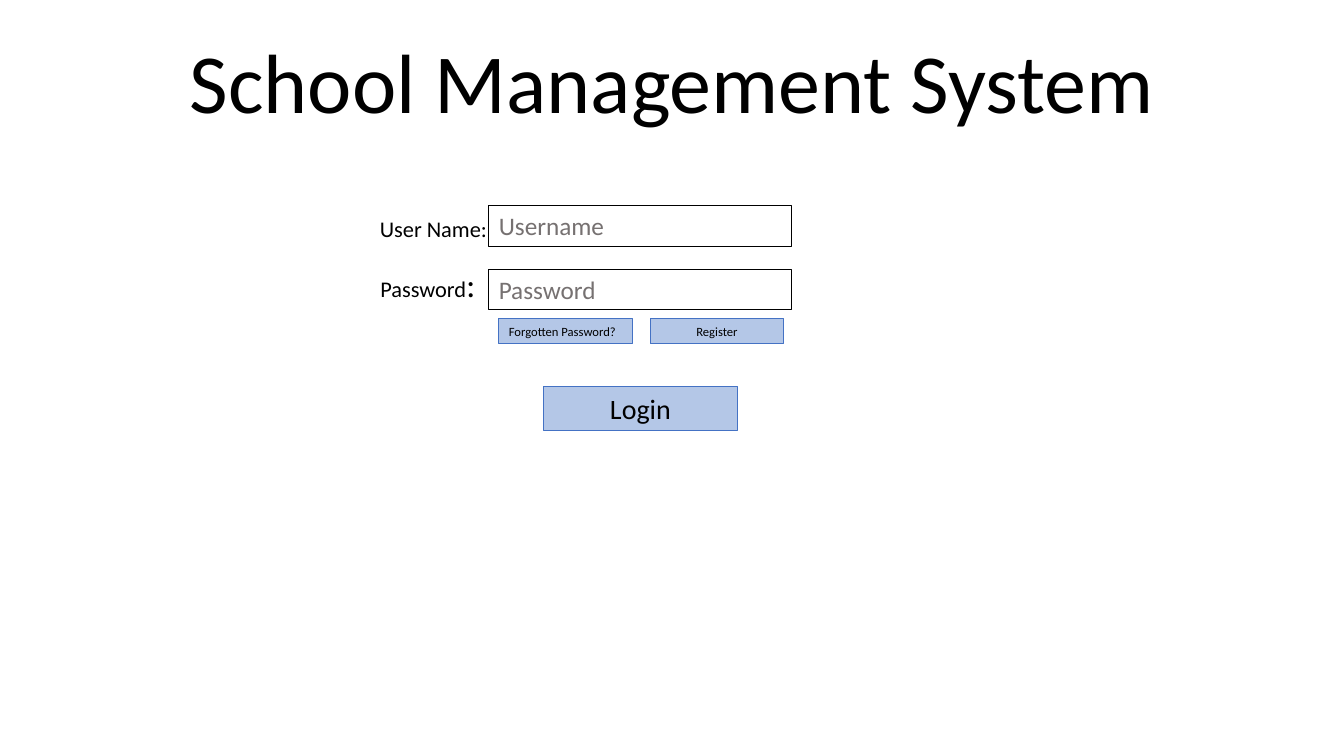
"""Build the login slide of a school management system."""
from pptx import Presentation
from pptx.dml.color import RGBColor
from pptx.enum.shapes import MSO_SHAPE
from pptx.enum.text import MSO_ANCHOR, MSO_AUTO_SIZE, PP_ALIGN
from pptx.util import Pt

BLACK = RGBColor(0x00, 0x00, 0x00)
GRAY = RGBColor(0x76, 0x71, 0x71)
BLUE = RGBColor(0x44, 0x72, 0xC4)
LIGHT_BLUE = RGBColor(0xB4, 0xC7, 0xE7)


def write(part, runs, color=BLACK, align=PP_ALIGN.CENTER, anchor=MSO_ANCHOR.TOP, **spacing):
    """Fill a part with (text, size) runs in one paragraph."""
    frame = part.text_frame
    frame_format = {"word_wrap": True, "auto_size": MSO_AUTO_SIZE.NONE, "vertical_anchor": anchor}
    for name, value in frame_format.items():
        setattr(frame, name, value)
    paragraph = frame.paragraphs[0]
    for name, value in {"alignment": align, **spacing}.items():
        setattr(paragraph, name, value)
    for text, size in runs:
        run = paragraph.add_run()
        run.text = text
        for name, value in {"name": "Calibri", "size": Pt(size)}.items():
            setattr(run.font, name, value)
        run.font.color.rgb = color


def add_box(left, top, width, height, outline, fill=None):
    """Add an outlined rectangle, filled only when a colour is given."""
    box = slide.shapes.add_shape(MSO_SHAPE.RECTANGLE, Pt(left), Pt(top), Pt(width), Pt(height))
    box.shadow.inherit = False
    box.line.color.rgb = outline
    box.line.width = Pt(0.75)
    if fill is None:
        box.fill.background()
    else:
        box.fill.solid()
        box.fill.fore_color.rgb = fill
    return box


deck = Presentation()
deck.slide_width, deck.slide_height = Pt(960), Pt(540)
slide = deck.slides.add_slide(deck.slide_layouts[5])

title = slide.shapes.title
title_place = {"left": Pt(6), "top": Pt(26), "width": Pt(948), "height": Pt(72)}
for side, length in title_place.items():
    setattr(title, side, length)
write(title, [("School Management System", 60)], anchor=MSO_ANCHOR.BOTTOM, line_spacing=0.9)

labels = [
    (259.2, 152.6, 100.8, 0.9, [("User Name:", 16)]),
    (245.5, 190.8, 120.2, 0.8, [("Password", 16), (":", 24)]),
]
for left, top, width, line_spacing, runs in labels:
    label = slide.shapes.add_textbox(Pt(left), Pt(top), Pt(width), Pt(32.4))
    write(label, runs, line_spacing=line_spacing, space_before=Pt(10))

for row, hint in enumerate(["Username", "Password"]):
    field = add_box(349.2, 146.9 + 45.3 * row, 216, 29, BLACK)
    write(field, [(hint, 18)], GRAY, PP_ALIGN.LEFT)

buttons = [
    ("Forgotten Password?", 9, PP_ALIGN.LEFT, 356.4, 227.5, 95.4, 18.2),
    ("Register", 9, PP_ALIGN.CENTER, 464.4, 227.5, 95.4, 18.2),
    ("Login", 20, PP_ALIGN.CENTER, 388, 275.8, 139, 31.5),
]
for caption, size, align, *place in buttons:
    button = add_box(*place, BLUE, LIGHT_BLUE)
    write(button, [(caption, size)], align=align)

deck.save("out.pptx")
